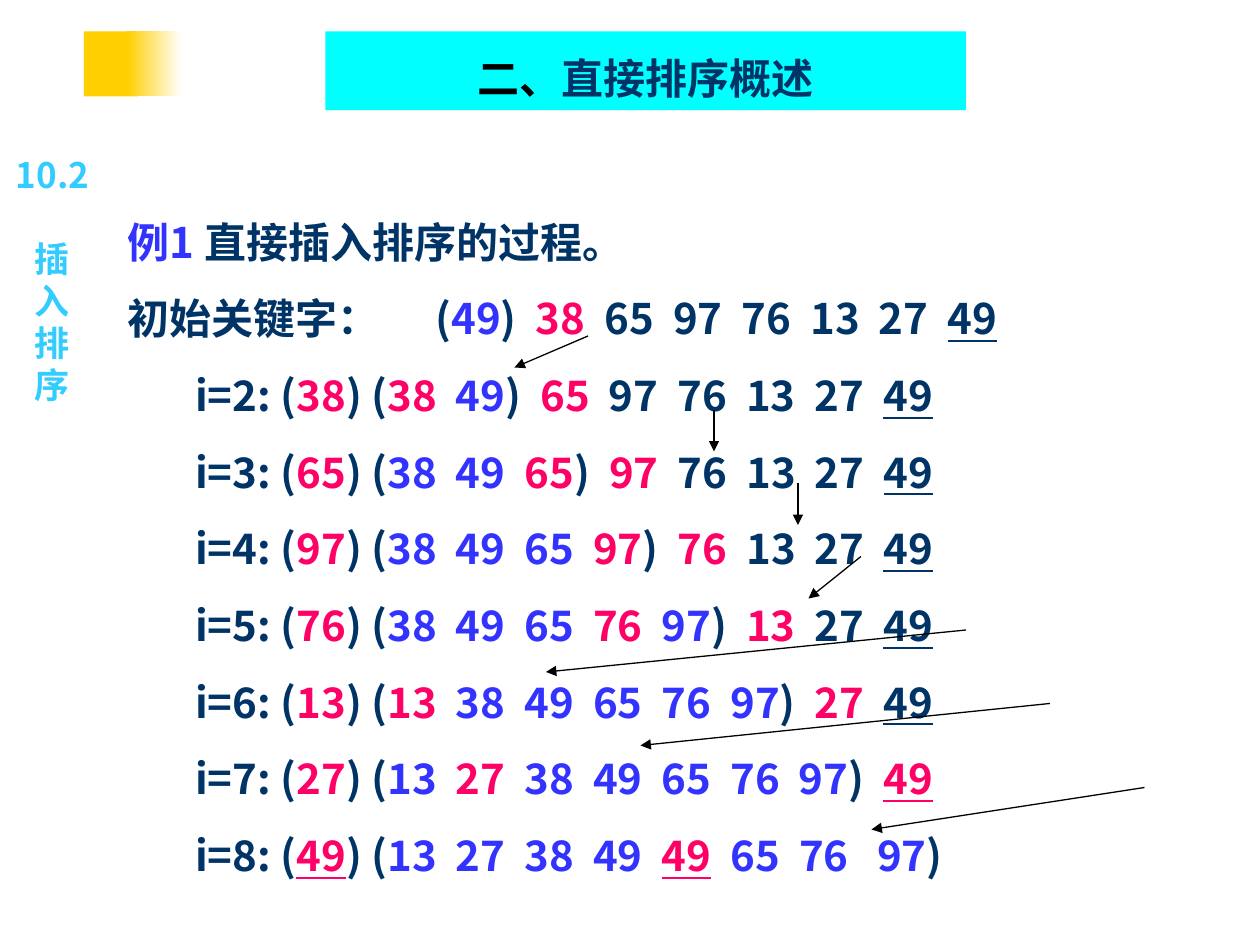
from lxml import etree
from pptx import Presentation
from pptx.dml.color import RGBColor
from pptx.enum.shapes import MSO_CONNECTOR, MSO_SHAPE
from pptx.enum.text import MSO_ANCHOR, PP_ALIGN
from pptx.oxml.ns import qn
from pptx.util import Pt

PX = 7620
FONT = "Noto Sans CJK SC"
STRAIGHT = MSO_CONNECTOR.STRAIGHT
RECTANGLE = MSO_SHAPE.RECTANGLE
TOP = MSO_ANCHOR.TOP
LEFT, CENTER = PP_ALIGN.LEFT, PP_ALIGN.CENTER

YELLOW = "FFCF01"
BLACK = ("000000", False)
SKY = ("33CCFF", False)
DARK = ("003366", False)
DARK_LINED = ("003366", True)
BLUE = ("3333FF", False)
PINK = ("FF0066", False)
PINK_LINED = ("FF0066", True)

HEADING = [("例1 ", BLUE), ("直接插入排序的过程。", DARK)]
INITIAL_KEYS = [("初始关键字：\t(", DARK), ("49", BLUE), (")  ", DARK), ("38", PINK),
                ("  65  97  76  13  27  ", DARK), ("49", DARK_LINED)]
PASSES = [
    [("38", PINK), (") (", DARK), ("38  ", PINK), ("49", BLUE), (")  ", DARK),
     ("65", PINK), ("  97  76  13  27  ", DARK), ("49", DARK_LINED)],
    [("65", PINK), (") (", DARK), ("38  49  ", BLUE), ("65", PINK), (")  ", DARK),
     ("97", PINK), ("  76  13  27  ", DARK), ("49", DARK_LINED)],
    [("97", PINK), (") (", DARK), ("38  49  65  ", BLUE), ("97", PINK), (")  ", DARK),
     ("76", PINK), ("  13  27  ", DARK), ("49", DARK_LINED)],
    [("76", PINK), (") (", DARK), ("38  49  65  ", BLUE), ("76  ", PINK), ("97", BLUE),
     (")  ", DARK), ("13", PINK), ("  27  ", DARK), ("49", DARK_LINED)],
    [("13", PINK), (") (", DARK), ("13  ", PINK), ("38  49  65  76  97", BLUE),
     (")  ", DARK), ("27  ", PINK), ("49", DARK_LINED)],
    [("27", PINK), (") (", DARK), ("13  ", BLUE), ("27  ", PINK),
     ("38  49  65  76  97", BLUE), (")  ", DARK), ("49", PINK_LINED)],
    [("49", PINK_LINED), (") (", DARK), ("13  27  38  49  ", BLUE), ("49", PINK_LINED),
     ("  ", DARK), ("65  76   97", BLUE), (")", DARK)],
]
ARROWS = [
    (450, 120, 380, 150),
    (570, 190, 570, 230),
    (650, 260, 650, 300),
    (710, 330, 660, 370),
    (810, 400, 410, 440),
    (890, 470, 500, 510),
    (980, 550, 720, 590),
]


def color(value):
    """Turn a hex string into a colour."""
    return RGBColor.from_string(value)


def emu(*lengths):
    """Turn px lengths into EMU."""
    return [length * PX for length in lengths]


def add_rectangle(slide, box, fill):
    """Add a plain filled rectangle without outline."""
    shape = slide.shapes.add_shape(RECTANGLE, *emu(*box))
    shape.shadow.inherit = False
    shape.line.fill.background()
    shape.fill.solid()
    shape.fill.fore_color.rgb = color(fill)
    return shape


def add_text_box(slide, box):
    """Add a wrapping text box and return its text frame."""
    frame = slide.shapes.add_textbox(*emu(*box)).text_frame
    frame.word_wrap = True
    return frame


def add_paragraph(frame, runs, size, align=LEFT, before=0, indent=0, tab=0):
    """Write coloured runs into the next paragraph of a frame."""
    first = frame.paragraphs[0]
    paragraph = frame.add_paragraph() if first.runs else first
    paragraph.alignment = align
    if before:
        paragraph.space_before = Pt(before)
    properties = paragraph._p.get_or_add_pPr()
    if indent:
        properties.set("marL", str(indent * PX))
        properties.set("indent", "0")
    if tab:
        tabs = etree.SubElement(properties, qn("a:tabLst"))
        etree.SubElement(tabs, qn("a:tab"), pos=str(tab * PX), algn="l")
    paragraph.font.size = Pt(size)
    paragraph.font.bold = True
    paragraph.font.name = FONT
    etree.SubElement(properties.find(qn("a:defRPr")), qn("a:ea"), typeface=FONT)
    for text, (hue, underlined) in runs:
        run = paragraph.add_run()
        run.text = text
        run.font.color.rgb = color(hue)
        if underlined:
            run.font.underline = True
    return paragraph


def add_arrow(slide, start_x, start_y, end_x, end_y):
    """Add a thin black line with a triangle at its end."""
    arrow = slide.shapes.add_connector(STRAIGHT, *emu(start_x, start_y, end_x, end_y))
    arrow.line.color.rgb = color("000000")
    arrow.line.width = Pt(0.75)
    etree.SubElement(arrow.line._get_or_add_ln(), qn("a:tailEnd"), type="triangle")
    etree.SubElement(arrow._element.spPr, qn("a:effectLst"))


def add_corner_mark(slide, left, top, width, height):
    """Draw the yellow block that fades out to the right."""
    solid_width = width * 11 // 20
    fade_left = width * 9 // 20
    add_rectangle(slide, (left, top, solid_width, height), YELLOW)
    fade = add_rectangle(slide, (left + fade_left, top, width - fade_left, height), YELLOW)
    fade.fill.gradient()
    fade.fill.gradient_angle = 0
    for stop, hue, position in zip(fade.fill.gradient_stops, (YELLOW, "FFFFFF"), (0, 1)):
        stop.color.rgb = color(hue)
        stop.position = position


def add_title(slide, left, top, width, height):
    """Draw the cyan title bar."""
    frame = add_rectangle(slide, (left, top, width, height), "00FFFF").text_frame
    frame.word_wrap = True
    frame.vertical_anchor = TOP
    runs = [("二、", BLACK), ("直接排序概述", DARK)]
    add_paragraph(frame, runs, 24, CENTER).line_spacing = 1.3


def add_section_label(slide, left, top, width, height):
    """Write the section number with its name running downwards."""
    frame = add_text_box(slide, (left, top, width, height))
    add_paragraph(frame, [("10.2", SKY)], 20, CENTER)
    for index, character in enumerate("插入排序"):
        add_paragraph(frame, [(character, SKY)], 20, CENTER, before=0 if index else 24)


def add_sorting_example(slide, left, top, width, height):
    """Write the passes of the insertion sort and the arrows between them."""
    frame = add_text_box(slide, (left, top, width, height))
    add_paragraph(frame, HEADING, 24)
    add_paragraph(frame, INITIAL_KEYS, 24, before=15, tab=293)
    for number, runs in enumerate(PASSES, start=2):
        add_paragraph(frame, [(f"i={number}: (", DARK)] + runs, 24, before=15, indent=64)
    for start_x, start_y, end_x, end_y in ARROWS:
        add_arrow(slide, left + start_x, top + start_y, left + end_x, top + end_y)


def main():
    """Build and save the slide."""
    presentation = Presentation()
    presentation.slide_width, presentation.slide_height = emu(1200, 900)
    slide = presentation.slides.add_slide(presentation.slide_layouts[6])
    add_corner_mark(slide, 80, 30, 93, 62)
    add_sorting_example(slide, 110, 200, 1090, 1102)
    add_title(slide, 310, 30, 610, 75)
    add_section_label(slide, 0, 140, 100, 293)
    presentation.save("out.pptx")


if __name__ == "__main__":
    main()
